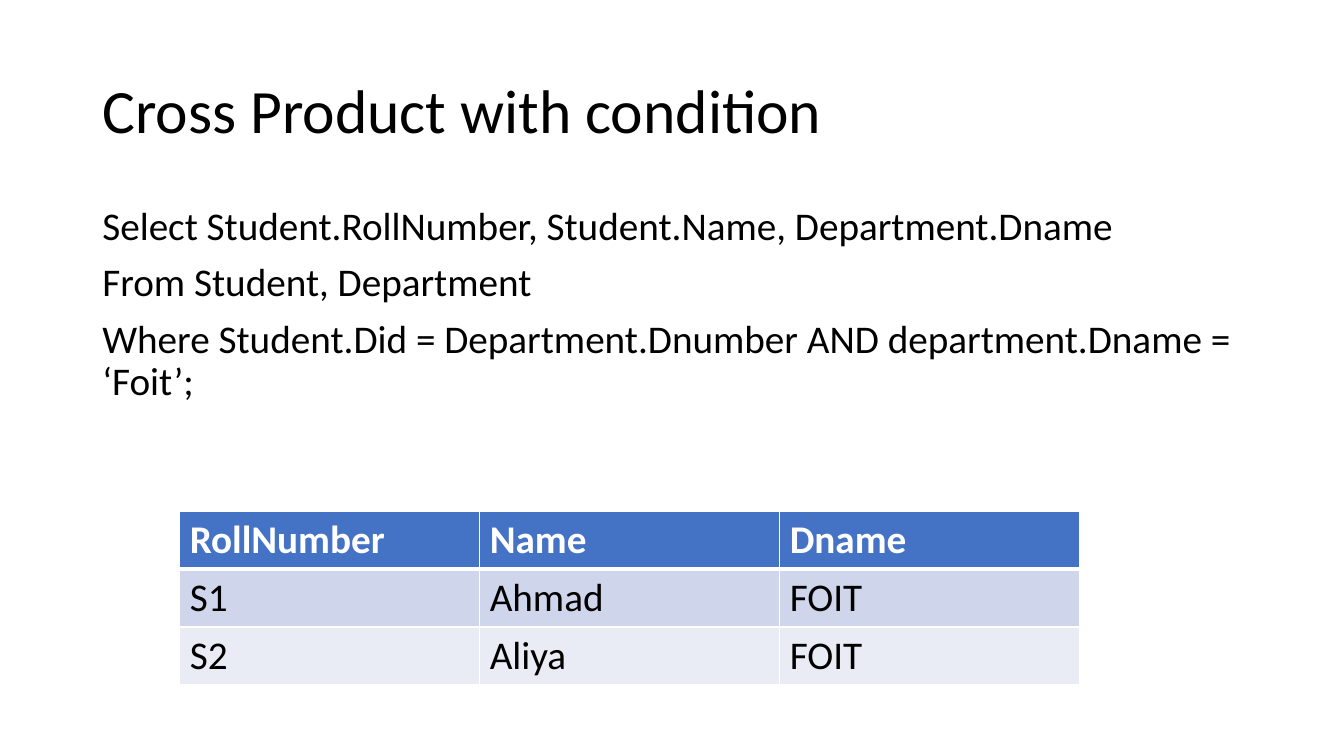
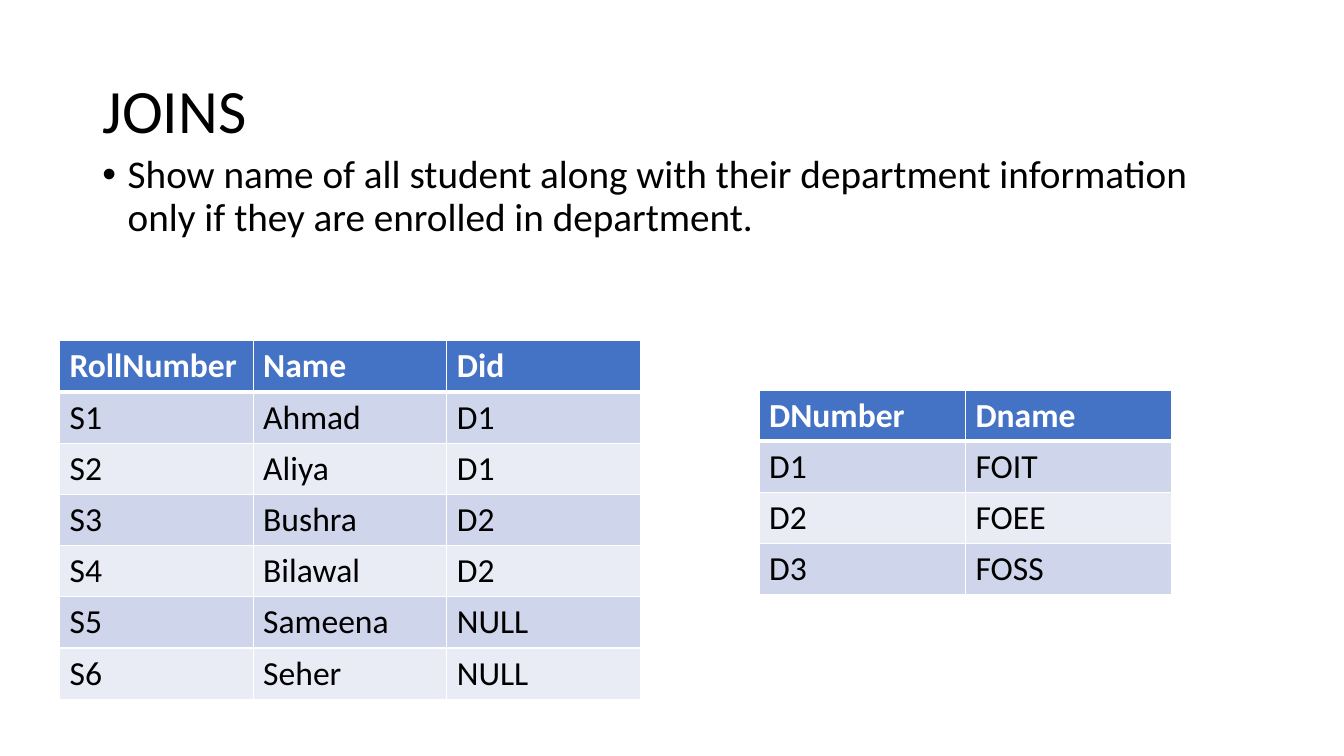
from dataclasses import dataclass

from lxml.etree import SubElement
from pptx import Presentation
from pptx.dml.color import RGBColor
from pptx.enum.text import MSO_ANCHOR, MSO_AUTO_SIZE, PP_ALIGN
from pptx.oxml.ns import qn
from pptx.util import Cm, Pt

FONT = "Calibri"
BLACK, WHITE = "000000", "FFFFFF"
HEADER_FILL = "4472C4"
BAND_FILLS = ("CFD5EA", "E9EBF5")
TITLE_LAYOUT = 5
MARGIN, CONTENT_WIDTH = 2.33, 29.21
BULLET_INDENT = 0.64
BODY_SIZE = 28
THIN, THICK = 1, 3


@dataclass(frozen=True)
class Body:
    top: float
    height: float
    lines: tuple[str, ...]
    bulleted: bool = False


@dataclass(frozen=True)
class Grid:
    left: float
    top: float
    col_width: float
    row_height: float
    size: int
    rows: tuple[tuple[str, ...], ...]


@dataclass(frozen=True)
class Page:
    title: str
    body: Body
    grids: tuple[Grid, ...]


PAGES = (
    Page(
        "Cross Product with condition",
        Body(5.08, 6, (
            "Select Student.RollNumber, Student.Name, Department.Dname",
            "From Student, Department",
            "Where Student.Did = Department.Dnumber AND department.Dname = ‘Foit’;",
        )),
        (Grid(4.53, 12.88, 7.56, 1.46, 28, (
            ("RollNumber", "Name", "Dname"),
            ("S1", "Ahmad", "FOIT"),
            ("S2", "Aliya", "FOIT"),
        )),),
    ),
    Page(
        "JOINS",
        Body(3.78, 3, (
            "Show name of all student along with their department information "
            "only if they are enrolled in department.",
        ), bulleted=True),
        (
            Grid(1.5, 8.59, 4.88, 1.29, 24, (
                ("RollNumber", "Name", "Did"),
                ("S1", "Ahmad", "D1"),
                ("S2", "Aliya", "D1"),
                ("S3", "Bushra", "D2"),
                ("S4", "Bilawal", "D2"),
                ("S5", "Sameena", "NULL"),
                ("S6", "Seher", "NULL"),
            )),
            Grid(19.13, 9.83, 5.2, 1.29, 24, (
                ("DNumber", "Dname"),
                ("D1", "FOIT"),
                ("D2", "FOEE"),
                ("D3", "FOSS"),
            )),
        ),
    ),
)


def rgb(color: str) -> RGBColor:
    return RGBColor.from_string(color)


def add_run(p, text: str, size: int, color: str = BLACK, bold: bool = False) -> None:
    r = p.add_run()
    r.text = text
    r.font.name = FONT
    r.font.size = Pt(size)
    r.font.bold = bold
    r.font.color.rgb = rgb(color)


def set_title(slide, text: str) -> None:
    sp = slide.shapes.title
    sp.left, sp.top = Cm(MARGIN), Cm(1.01)
    sp.width, sp.height = Cm(CONTENT_WIDTH), Cm(3.68)
    tf = sp.text_frame
    tf.auto_size = MSO_AUTO_SIZE.NONE
    tf.vertical_anchor = MSO_ANCHOR.MIDDLE
    p = tf.paragraphs[0]
    p.alignment = PP_ALIGN.LEFT
    p.line_spacing = 0.9
    add_run(p, text, 44)


def set_bullet(p) -> None:
    pPr = p._p.get_or_add_pPr()
    pPr.set("marL", str(Cm(BULLET_INDENT)))
    pPr.set("indent", str(-Cm(BULLET_INDENT)))
    SubElement(pPr, qn("a:buFont"), typeface="Arial")
    SubElement(pPr, qn("a:buChar"), char="•")


def add_body(slide, body: Body) -> None:
    sp = slide.shapes.add_textbox(
        Cm(MARGIN), Cm(body.top), Cm(CONTENT_WIDTH), Cm(body.height))
    tf = sp.text_frame
    tf.word_wrap = True
    for i, line in enumerate(body.lines):
        p = tf.add_paragraph() if i else tf.paragraphs[0]
        if body.bulleted:
            set_bullet(p)
        p.line_spacing = 0.9
        if i:
            p.space_before = Pt(10)
        add_run(p, line, BODY_SIZE)


def set_borders(cell, row: int) -> None:
    """Draw thin white borders, thick where the header meets the first row."""
    widths = {
        "a:lnL": THIN,
        "a:lnR": THIN,
        "a:lnT": THICK if row == 1 else THIN,
        "a:lnB": THICK if row == 0 else THIN,
    }
    tcPr = cell._tc.get_or_add_tcPr()
    for tag, width in widths.items():
        ln = SubElement(tcPr, qn(tag), w=str(Pt(width)))
        fill = SubElement(ln, qn("a:solidFill"))
        SubElement(fill, qn("a:srgbClr"), val=WHITE)


def add_grid(slide, grid: Grid) -> None:
    n_rows, n_cols = len(grid.rows), len(grid.rows[0])
    table = slide.shapes.add_table(
        n_rows, n_cols, Cm(grid.left), Cm(grid.top),
        Cm(grid.col_width * n_cols), Cm(grid.row_height * n_rows)).table
    table.horz_banding = False
    for col in table.columns:
        col.width = Cm(grid.col_width)
    for i, values in enumerate(grid.rows):
        table.rows[i].height = Cm(grid.row_height)
        header = i == 0
        for j, value in enumerate(values):
            cell = table.cell(i, j)
            set_borders(cell, i)
            cell.fill.solid()
            cell.fill.fore_color.rgb = rgb(
                HEADER_FILL if header else BAND_FILLS[(i - 1) % 2])
            add_run(cell.text_frame.paragraphs[0], value, grid.size,
                    WHITE if header else BLACK, header)


def add_page(prs, page: Page) -> None:
    slide = prs.slides.add_slide(prs.slide_layouts[TITLE_LAYOUT])
    set_title(slide, page.title)
    add_body(slide, page.body)
    for grid in page.grids:
        add_grid(slide, grid)


def main() -> None:
    prs = Presentation()
    prs.slide_width, prs.slide_height = Cm(33.87), Cm(19.05)
    for page in PAGES:
        add_page(prs, page)
    prs.save("out.pptx")


if __name__ == "__main__":
    main()
